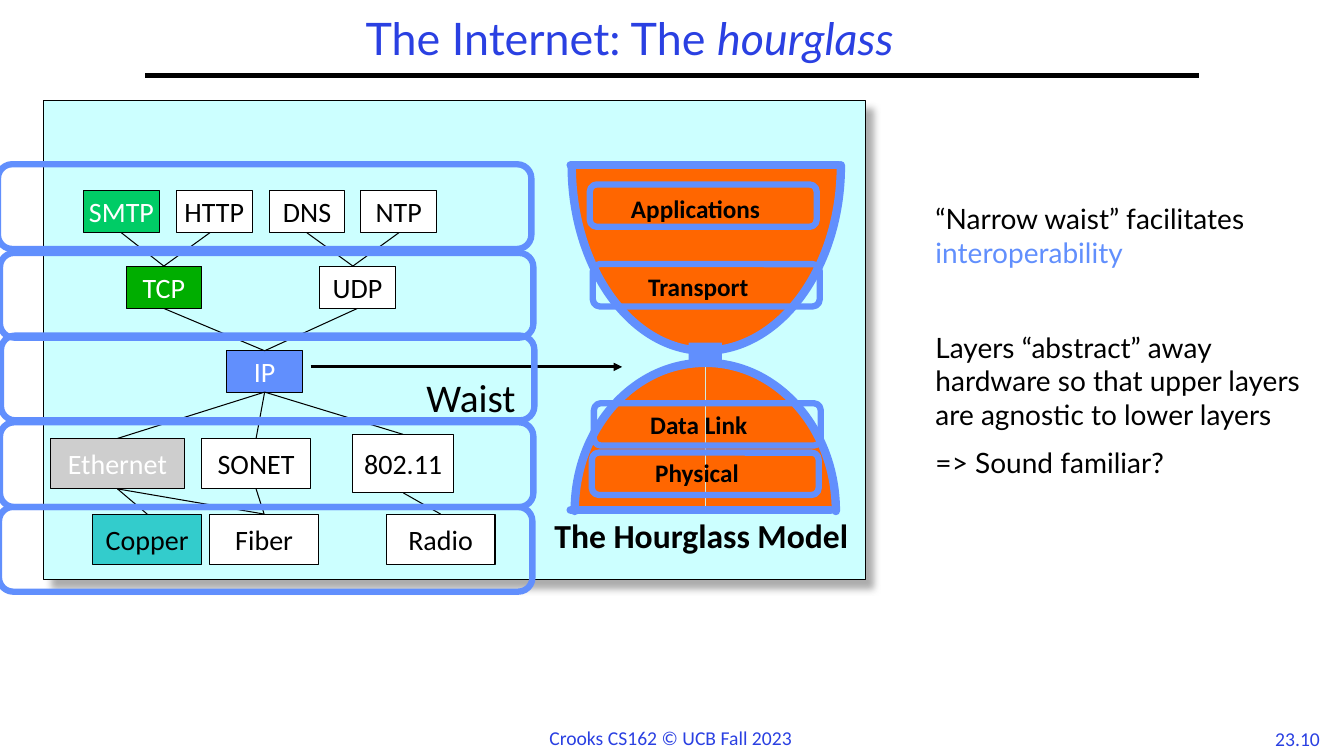
"""Builds the slide on the hourglass shape of the Internet protocol stack."""
from dataclasses import dataclass

from lxml import etree
from pptx import Presentation
from pptx.dml.color import RGBColor
from pptx.enum.shapes import MSO_CONNECTOR, MSO_SHAPE
from pptx.enum.text import MSO_ANCHOR, MSO_AUTO_SIZE, PP_ALIGN
from pptx.oxml.ns import qn
from pptx.util import Inches, Pt

RECT, ROUNDED = MSO_SHAPE.RECTANGLE, MSO_SHAPE.ROUNDED_RECTANGLE
STRAIGHT = MSO_CONNECTOR.STRAIGHT
MIDDLE = MSO_ANCHOR.MIDDLE
LEFT, CENTER = PP_ALIGN.LEFT, PP_ALIGN.CENTER
FIT, FIXED = MSO_AUTO_SIZE.SHAPE_TO_FIT_TEXT, MSO_AUTO_SIZE.NONE


@dataclass(frozen=True)
class Theme:
    """Colours, fonts and type sizes of the slide."""
    black: str = "000000"
    white: str = "FFFFFF"
    title: str = "2A40E2"
    accent: str = "618FFD"
    panel: str = "CCFFFF"
    shadow: str = "919191"
    glass: str = "FF6600"
    mail: str = "00CC66"
    tcp: str = "00AE00"
    ethernet: str = "CECECE"
    copper: str = "33CCCC"
    heading_font: str = "Lato"
    label_font: str = "Calibri"
    title_size: int = 32
    waist_size: int = 28
    caption_size: int = 24
    body_size: int = 20
    label_size: int = 18
    footer_size: int = 14


T = Theme()

TITLE = [("The Internet: The ", False), ("hourglass", True)]
REMARKS = [
    (0, [("“Narrow waist” facilitates ", T.black), ("interoperability", T.accent)]),
    (44, [("Layers “abstract” away hardware so that upper layers "
           "are agnostic to lower layers", T.black)]),
    (10, [("=> Sound familiar?", T.black)]),
]

ROWS = [
    (1.89, 0.75, 0.42, [("SMTP", 0.83, T.mail, T.white), ("HTTP", 1.75, T.white, T.black),
                        ("NTP", 3.58, T.white, T.black), ("DNS", 2.67, T.white, T.black)]),
    (2.64, 0.75, 0.42, [("TCP", 1.25, T.tcp, T.white), ("UDP", 3.17, T.white, T.black)]),
    (3.48, 0.75, 0.41, [("IP", 2.25, T.accent, T.white)]),
    (4.35, 1.33, 0.5, [("Ethernet", 0.5, T.ethernet, T.white)]),
    (4.35, 1.08, 0.5, [("SONET", 2, T.white, T.black)]),
    (4.31, 1, 0.58, [("802.11", 3.5, T.white, T.black)]),
    (5.1, 1.08, 0.5, [("Fiber", 2.08, T.white, T.black), ("Copper", 0.92, T.copper, T.black),
                      ("Radio", 3.83, T.white, T.black)]),
]
LINKS = [("SMTP", "TCP"), ("HTTP", "TCP"), ("DNS", "UDP"), ("NTP", "UDP"),
         ("TCP", "IP"), ("UDP", "IP"), ("IP", "802.11"), ("IP", "Ethernet"),
         ("IP", "SONET"), ("Ethernet", "Fiber"), ("Ethernet", "Copper"),
         ("802.11", "Radio"), ("SONET", "Fiber")]
OFF_CENTER_EXITS = {"HTTP": 2.08}
OFF_CENTER_ENTRIES = {"UDP": 3.5}

GLASS_QUARTERS = [(7, 5.07, 1.29, -1.47), (6.99, 5.07, -1.29, -1.47),
                  (6.99, 1.64, 1.35, 1.84), (6.99, 1.64, -1.32, 1.84)]
GLASS_RIMS = [(5.66, 1.64, 8.32, 1.64), (5.66, 5.06, 8.24, 5.06)]
GLASS_LABELS = [("Data Link", 6.35, 4.01, 1.34), ("Physical", 6.4, 4.49, 1.22),
                ("Applications", 6.16, 1.87, 1.71), ("Transport", 6.33, 2.64, 1.36)]
STACK_FRAMES = [(-0.02, 1.63), (0, 2.51), (0.01, 3.33), (0, 4.19), (-0.01, 5.03)]
GLASS_FRAMES = [(5.85, 1.83), (5.88, 2.62), (5.89, 4), (5.87, 4.49)]


def rgb(color):
    return RGBColor.from_string(color)


def style_font(font, size, color, name=T.label_font, bold=False):
    font.size, font.name, font.bold = Pt(size), name, bold
    font.color.rgb = rgb(color)


def paint(sp, fill=None, line=None, width=0.75):
    sp.shadow.inherit = False
    if fill:
        sp.fill.solid()
        sp.fill.fore_color.rgb = rgb(fill)
    else:
        sp.fill.background()
    if line:
        sp.line.color.rgb, sp.line.width = rgb(line), Pt(width)
    else:
        sp.line.fill.background()
    return sp


def round_ends(sp):
    sp.element.spPr.find(qn("a:ln")).set("cap", "rnd")


def add_box(s, kind, at, fill=None, line=None, width=0.75):
    return paint(s.shapes.add_shape(kind, *map(Inches, at)), fill, line, width)


def add_line(s, ends, color=T.black, width=0.75, arrow=False):
    c = s.shapes.add_connector(STRAIGHT, *map(Inches, ends))
    c.line.color.rgb, c.line.width = rgb(color), Pt(width)
    if arrow:
        etree.SubElement(c.element.spPr.find(qn("a:ln")), qn("a:tailEnd"), type="triangle")
    etree.SubElement(c.element.spPr, qn("a:effectLst"))
    return c


def add_text(s, text, at, size, color=T.black, bold=False, align=LEFT, wrap=False):
    tf = s.shapes.add_textbox(*map(Inches, at)).text_frame
    tf.word_wrap, tf.auto_size = wrap, FIT
    p = tf.paragraphs[0]
    p.text, p.alignment = text, align
    style_font(p.font, size, color, bold=bold)


def add_path(paths, moves, **flags):
    path = etree.SubElement(paths, qn("a:path"), w="1000", h="1000", **flags)
    for verb, points in moves:
        step = etree.SubElement(path, qn(f"a:{verb}"))
        for x, y in points:
            etree.SubElement(step, qn("a:pt"), x=str(x), y=str(y))


def add_quarter(s, cx, cy, rx, ry):
    corners = [(cx, cy + ry), (cx + rx, cy), (cx, cy)]
    first, *rest = [(Inches(x), Inches(y)) for x, y in corners]
    builder = s.shapes.build_freeform(*first, scale=1.0)
    builder.add_line_segments(rest, close=True)
    sp = paint(builder.convert_to_shape(), T.glass, T.accent, 6)
    round_ends(sp)

    def local(u, v):
        return (u if rx > 0 else 1000 - u, v if ry > 0 else 1000 - v)

    arc = [("moveTo", [local(0, 1000)]),
           ("cubicBezTo", [local(552, 1000), local(1000, 552), local(1000, 0)])]
    paths = sp.element.spPr.find(qn("a:custGeom")).find(qn("a:pathLst"))
    for old in list(paths):
        paths.remove(old)
    add_path(paths, arc, fill="none")
    add_path(paths, arc + [("lnTo", [local(0, 0)]), ("close", [])], stroke="0")


def add_title(s):
    sp = s.shapes.title
    sp.left, sp.top, sp.width, sp.height = map(Inches, (2.17, 0.03, 8.15, 0.76))
    tf = sp.text_frame
    tf.vertical_anchor, tf.auto_size = MIDDLE, FIXED
    p = tf.paragraphs[0]
    p.alignment, p.line_spacing = CENTER, 0.9
    style_font(p.font, T.title_size, T.title, T.heading_font)
    for text, italic in TITLE:
        r = p.add_run()
        r.text, r.font.italic = text, italic


def add_panel(s):
    sp = add_box(s, RECT, (0.43, 1, 8.15, 4.75), T.panel, T.black)
    effects = sp.element.spPr.find(qn("a:effectLst"))
    shadow = etree.SubElement(effects, qn("a:outerShdw"), blurRad=str(Pt(5)),
                              dist=str(Pt(8.5)), dir="2700000")
    color = etree.SubElement(shadow, qn("a:srgbClr"), val=T.shadow)
    etree.SubElement(color, qn("a:alpha"), val="75000")


def add_hourglass(s):
    for quarter in GLASS_QUARTERS:
        add_quarter(s, *quarter)
    for rim in GLASS_RIMS:
        round_ends(add_line(s, rim, T.accent, 6))
    add_box(s, RECT, (6.83, 3.4, 0.33, 0.24), T.accent)
    for text, x, y, w in GLASS_LABELS:
        add_text(s, text, (x, y, w, 0.4), T.label_size, bold=True)
    add_text(s, "The Hourglass Model", (5.4, 5.06, 3.61, 0.51), T.caption_size, bold=True)


def add_stack(s):
    ports = {}
    for y, w, h, nodes in ROWS:
        for name, x, fill, color in nodes:
            sp = add_box(s, RECT, (x, y, w, h), fill, T.black)
            tf = sp.text_frame
            tf.word_wrap, tf.vertical_anchor = False, MIDDLE
            p = tf.paragraphs[0]
            p.text, p.alignment = name, CENTER
            style_font(p.font, T.body_size, color)
            ports[name] = (x + w / 2, y, y + h)
    for upper, lower in LINKS:
        x1, _, bottom = ports[upper]
        x2, top, _ = ports[lower]
        add_line(s, (OFF_CENTER_EXITS.get(upper, x1), bottom,
                     OFF_CENTER_ENTRIES.get(lower, x2), top))


def add_remarks(s):
    tf = s.shapes.add_textbox(*map(Inches, (9.18, 1.95, 4.12, 3.63))).text_frame
    tf.word_wrap = True
    for i, (gap, runs) in enumerate(REMARKS):
        p = tf.paragraphs[0] if i == 0 else tf.add_paragraph()
        p.space_before = Pt(gap)
        for text, color in runs:
            r = p.add_run()
            r.text = text
            style_font(r.font, T.body_size, color, T.heading_font)


def main():
    prs = Presentation()
    prs.slide_width, prs.slide_height = Inches(13.33), Inches(7.5)
    s = prs.slides.add_slide(prs.slide_layouts[5])
    add_text(s, "23.10", (12.53, 7.16, 0.68, 0.33), T.footer_size, T.title, align=CENTER)
    add_line(s, (1.44, 0.75, 11.89, 0.75), width=3)
    add_text(s, "Crooks CS162 © UCB Fall 2023", (5.35, 7.15, 2.63, 0.34), T.footer_size, T.title)
    add_panel(s)
    add_title(s)
    add_line(s, (3.08, 3.64, 6.17, 3.64), width=2, arrow=True)
    add_hourglass(s)
    add_text(s, "Waist", (4.13, 3.65, 1.75, 0.57), T.waist_size, wrap=True)
    add_remarks(s)
    add_stack(s)
    for frames, size in ((STACK_FRAMES, (5.29, 0.84)), (GLASS_FRAMES, (2.25, 0.42))):
        for corner in frames:
            add_box(s, ROUNDED, corner + size, line=T.accent, width=4.5)
    prs.save("out.pptx")


if __name__ == "__main__":
    main()
